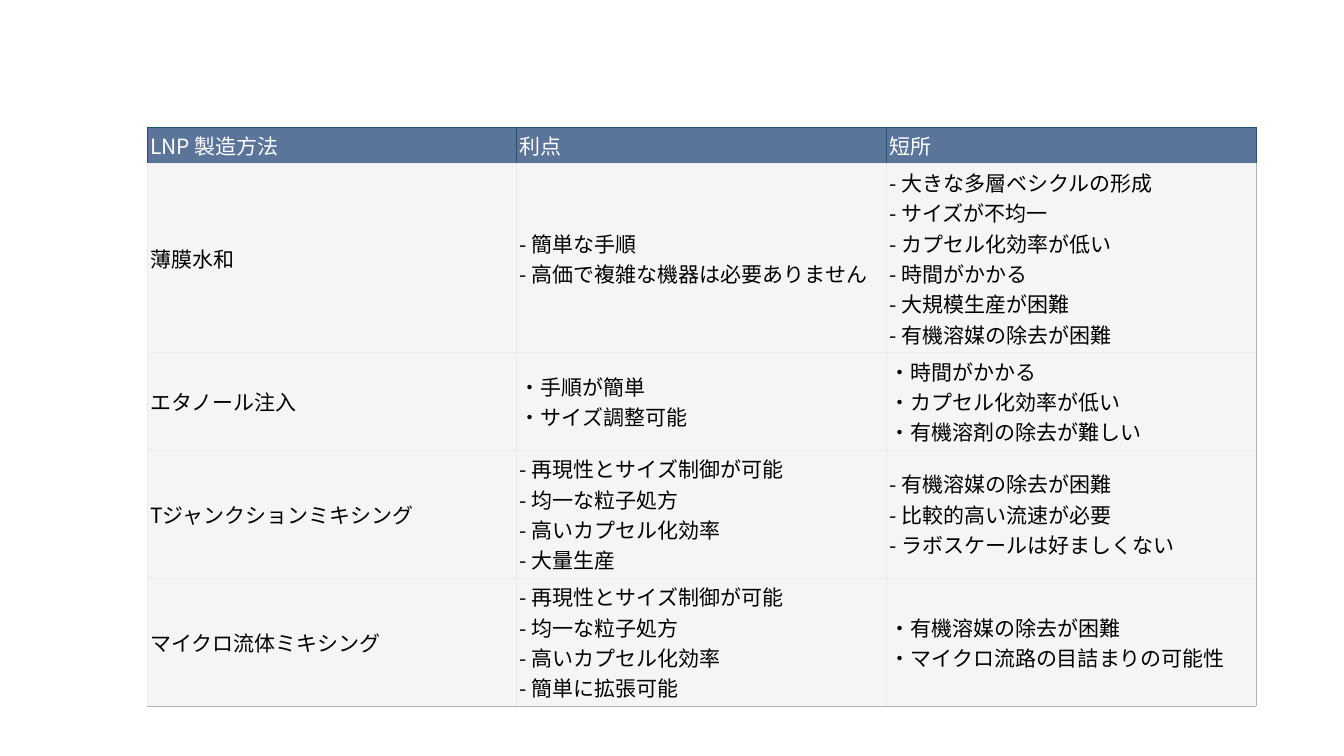
import lxml.etree
import pptx
import pptx.dml.color
import pptx.enum.text
import pptx.oxml.ns
import pptx.util

Cm = pptx.util.Cm
Pt = pptx.util.Pt
qn = pptx.oxml.ns.qn

FONT = "Noto Sans CJK JP"
COLORS = {
    "header": "5B7499",
    "header_text": "FFFFFF",
    "header_line": "205473",
    "body": "F5F5F5",
    "body_text": "000000",
    "grid": "EBECED",
    "outer": "AFB5B8",
}

HEADINGS = ["LNP 製造方法", "利点", "短所"]
# Method, mark and advantages, mark and drawbacks
METHODS = [
    ("薄膜水和",
     ("- ", ["簡単な手順", "高価で複雑な機器は必要ありません"]),
     ("- ", ["大きな多層ベシクルの形成", "サイズが不均一", "カプセル化効率が低い",
             "時間がかかる", "大規模生産が困難", "有機溶媒の除去が困難"])),
    ("エタノール注入",
     ("・", ["手順が簡単", "サイズ調整可能"]),
     ("・", ["時間がかかる", "カプセル化効率が低い", "有機溶剤の除去が難しい"])),
    ("Tジャンクションミキシング",
     ("- ", ["再現性とサイズ制御が可能", "均一な粒子処方", "高いカプセル化効率", "大量生産"]),
     ("- ", ["有機溶媒の除去が困難", "比較的高い流速が必要", "ラボスケールは好ましくない"])),
    ("マイクロ流体ミキシング",
     ("- ", ["再現性とサイズ制御が可能", "均一な粒子処方", "高いカプセル化効率", "簡単に拡張可能"]),
     ("・", ["有機溶媒の除去が困難", "マイクロ流路の目詰まりの可能性"])),
]
ROW_HEIGHTS = [0.76, 3.94, 2.03, 2.67, 2.67]


def rgb(name):
    return pptx.dml.color.RGBColor.from_string(COLORS[name])


def write_text(frame, lines, size=15, color="body_text", bold=False):
    """Write lines into one paragraph, parted by line breaks."""
    paragraph = frame.paragraphs[0]
    for number, line in enumerate(lines):
        if number:
            paragraph.add_line_break()
        run = paragraph.add_run()
        run.text = line
        run.font.size = Pt(size)
        run.font.bold = bold
        run.font.color.rgb = rgb(color)
        run.font.name = FONT
        east_asian = lxml.etree.SubElement(run.font._element, qn("a:ea"))
        east_asian.set("typeface", FONT)


def set_borders(cell, left, right, top, bottom):
    properties = cell._tc.get_or_add_tcPr()
    for side, color in zip("LRTB", (left, right, top, bottom)):
        line = lxml.etree.SubElement(properties, qn(f"a:ln{side}"), w=str(Pt(0.6)))
        fill = lxml.etree.SubElement(line, qn("a:solidFill"))
        lxml.etree.SubElement(fill, qn("a:srgbClr"), val=COLORS[color])


def format_cell(cell, lines, is_header, is_last_column, is_last_row):
    # Borders come before the fill in the cell properties
    if is_header:
        set_borders(cell, "header_line", "header_line", "header_line", "grid")
    else:
        set_borders(cell, "grid", "outer" if is_last_column else "grid",
                    "grid", "outer" if is_last_row else "grid")
    cell.fill.solid()
    cell.fill.fore_color.rgb = rgb("header" if is_header else "body")
    cell.vertical_anchor = pptx.enum.text.MSO_ANCHOR.MIDDLE
    cell.margin_left = cell.margin_right = Cm(0.08)
    cell.margin_top = cell.margin_bottom = Cm(0.08)
    write_text(cell.text_frame, lines,
               color="header_text" if is_header else "body_text")


def add_method_table(slide, left, top, width):
    # Each cell is a list of lines
    rows = [[[heading] for heading in HEADINGS]]
    for method, *lists in METHODS:
        rows.append([[method]] + [[mark + item for item in items]
                                  for mark, items in lists])

    frame = slide.shapes.add_table(len(rows), len(HEADINGS), left, top,
                                   width, Cm(sum(ROW_HEIGHTS)))
    table = frame.table
    table.horz_banding = False
    for column in table.columns:
        column.width = width // len(HEADINGS)
    for row, height in zip(table.rows, ROW_HEIGHTS):
        row.height = Cm(height)

    for r, row in enumerate(rows):
        for c, lines in enumerate(row):
            format_cell(table.cell(r, c), lines, r == 0,
                        c == len(row) - 1, r == len(rows) - 1)


def main():
    deck = pptx.Presentation()
    deck.slide_width = Cm(33.87)
    deck.slide_height = Cm(19.05)
    slide = deck.slides.add_slide(deck.slide_layouts[6])
    add_method_table(slide, Cm(3.71), Cm(3.2), Cm(27.94))
    deck.save("out.pptx")


if __name__ == "__main__":
    main()
